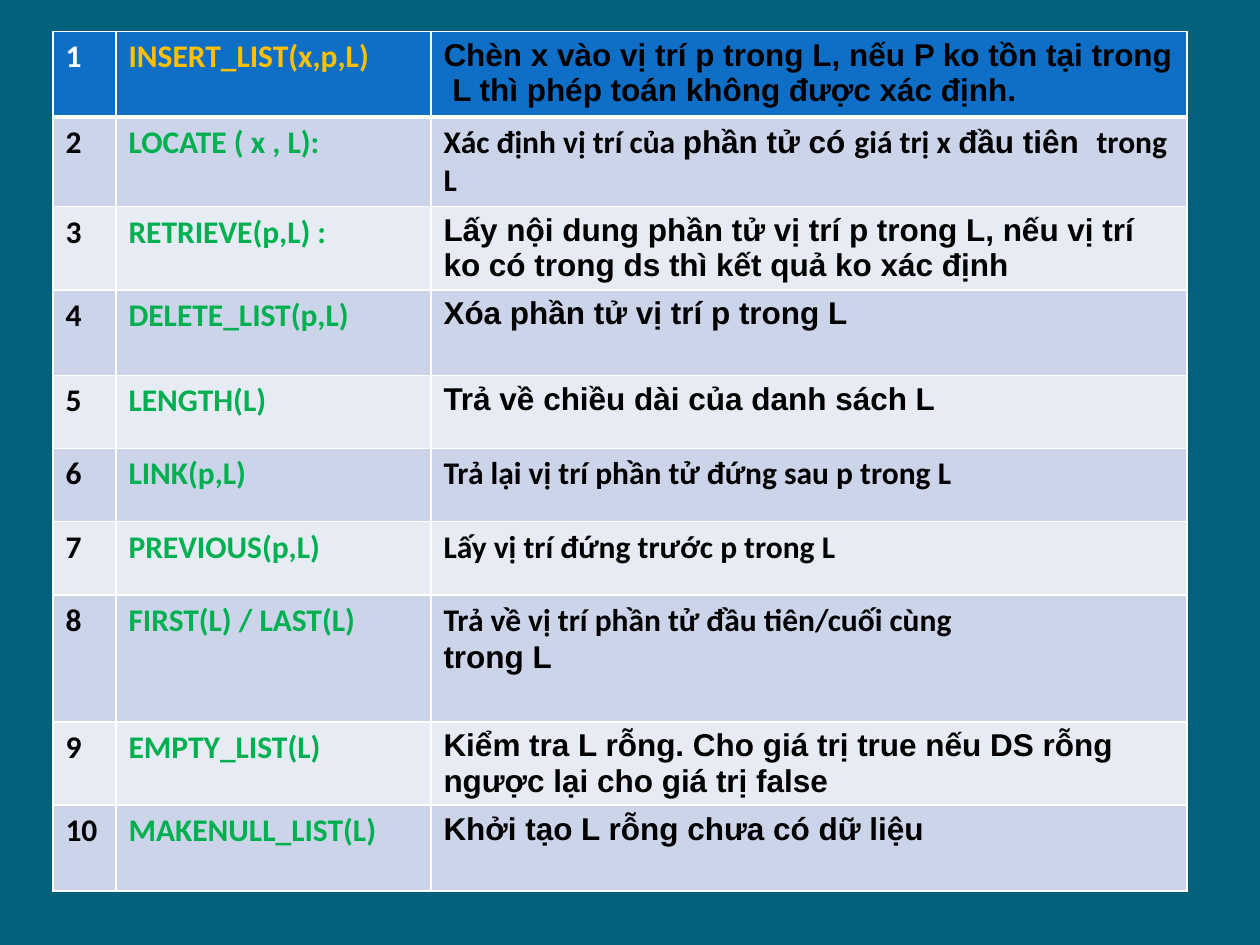
from lxml import etree
from pptx import Presentation
from pptx.dml.color import RGBColor
from pptx.oxml.ns import qn
from pptx.util import Inches, Pt

TEAL = RGBColor(0x04, 0x61, 0x7B)
BLUE = RGBColor(0x0F, 0x6F, 0xC6)
BAND_DARK = RGBColor(0xCC, 0xD4, 0xEA)
BAND_LIGHT = RGBColor(0xE7, 0xEB, 0xF4)
WHITE = RGBColor(0xFF, 0xFF, 0xFF)
BLACK = RGBColor(0, 0, 0)
GOLD = RGBColor(0xFF, 0xC0, 0x00)
GREEN = RGBColor(0x00, 0xB0, 0x50)

ARIAL, CALIBRI = "Arial", "Calibri"
THIN, THICK = 0.96, 3
COLUMN_WIDTHS = (0.5, 2.5, 6)

# Each operation: row height, name, description paragraphs as (text, font) runs
OPERATIONS = [
    (0.68, "INSERT_LIST(x,p,L)",
     [[("Chèn x vào vị trí p trong L, nếu P ko tồn tại trong  L thì phép toán "
        "không được xác định.", ARIAL)]]),
    (0.68, "LOCATE ( x , L):",
     [[("Xác định vị trí của ", CALIBRI), ("phần tử có ", ARIAL),
       ("giá trị x ", CALIBRI), ("đầu tiên  ", ARIAL), ("trong L", CALIBRI)]]),
    (0.66, "RETRIEVE(p,L) :",
     [[("Lấy nội dung phần tử vị trí p trong L, nếu vị trí ko có trong ds "
        "thì kết quả ko xác định", ARIAL)]]),
    (0.68, "DELETE_LIST(p,L)", [[("Xóa phần tử vị trí p trong L", ARIAL)]]),
    (0.58, "LENGTH(L)", [[("Trả về chiều dài của danh sách L", ARIAL)]]),
    (0.58, "LINK(p,L)", [[("Trả lại vị trí phần tử đứng sau p trong L", CALIBRI)]]),
    (0.58, "PREVIOUS(p,L)", [[("Lấy vị trí đứng trước p trong L", CALIBRI)]]),
    (1.01, "FIRST(L) / LAST(L)",
     [[("Trả về vị trí phần tử đầu tiên/cuối cùng", CALIBRI)],
      [("trong L", ARIAL)]]),
    (0.66, "EMPTY_LIST(L)",
     [[("Kiểm tra L rỗng. Cho giá trị true nếu DS rỗng ngược lại cho giá trị false",
        ARIAL)]]),
    (0.68, "MAKENULL_LIST(L)", [[("Khởi tạo L rỗng chưa có dữ liệu", ARIAL)]]),
]


def add_run(paragraph, text, font=CALIBRI, size=18, color=BLACK, bold=True):
    run = paragraph.add_run()
    run.text = text
    run.font.name = font
    run.font.size = Pt(size)
    run.font.bold = bold
    run.font.color.rgb = color


def set_borders(cell, top=THIN, bottom=THIN):
    """Draw white borders; line elements must come before the cell's fill."""
    properties = cell._tc.get_or_add_tcPr()
    sides = (("a:lnL", THIN), ("a:lnR", THIN), ("a:lnT", top), ("a:lnB", bottom))
    for index, (side, width) in enumerate(sides):
        line = etree.Element(qn(side), w=str(Pt(width)))
        fill = etree.SubElement(line, qn("a:solidFill"))
        etree.SubElement(fill, qn("a:srgbClr"), val=str(WHITE))
        properties.insert(index, line)


def fill_cell(cell, paragraphs, background, color, **borders):
    cell.fill.solid()
    cell.fill.fore_color.rgb = background
    set_borders(cell, **borders)
    frame = cell.text_frame
    for index, runs in enumerate(paragraphs):
        paragraph = frame.add_paragraph() if index else frame.paragraphs[0]
        for text, font in runs:
            add_run(paragraph, text, font=font, color=color)


def add_operations_table(slide, left, top):
    height = sum(operation[0] for operation in OPERATIONS)
    table = slide.shapes.add_table(
        len(OPERATIONS), len(COLUMN_WIDTHS), Inches(left), Inches(top),
        Inches(sum(COLUMN_WIDTHS)), Inches(height)).table
    for column, width in zip(table.columns, COLUMN_WIDTHS):
        column.width = Inches(width)

    for number, (row_height, name, description) in enumerate(OPERATIONS, 1):
        row = table.rows[number - 1]
        row.height = Inches(row_height)
        # The first row is the header; a thick rule parts it from the bands
        if number == 1:
            background, number_color, name_color = BLUE, WHITE, GOLD
        else:
            background = BAND_LIGHT if number % 2 else BAND_DARK
            number_color, name_color = BLACK, GREEN
        borders = {1: {"bottom": THICK}, 2: {"top": THICK}}.get(number, {})
        contents = (
            ([[(str(number), CALIBRI)]], number_color),
            ([[(name, CALIBRI)]], name_color),
            (description, BLACK),
        )
        for cell, (paragraphs, color) in zip(row.cells, contents):
            fill_cell(cell, paragraphs, background, color, **borders)


def main():
    presentation = Presentation()
    presentation.slide_width = Inches(10)
    presentation.slide_height = Inches(7.5)
    slide = presentation.slides.add_slide(presentation.slide_layouts[6])
    slide.background.fill.solid()
    slide.background.fill.fore_color.rgb = TEAL
    add_operations_table(slide, left=0.42, top=0.25)
    presentation.save("out.pptx")


if __name__ == "__main__":
    main()
